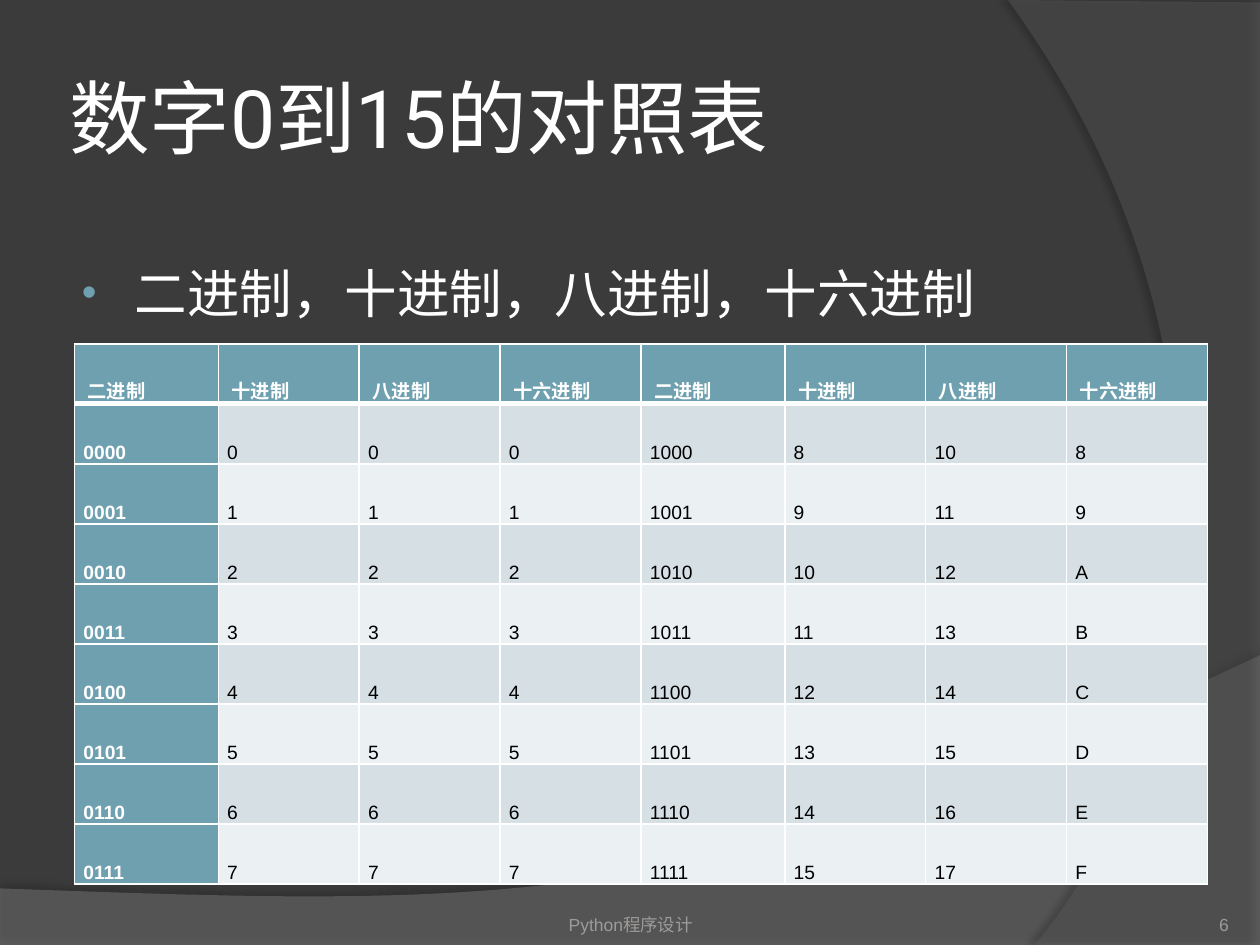
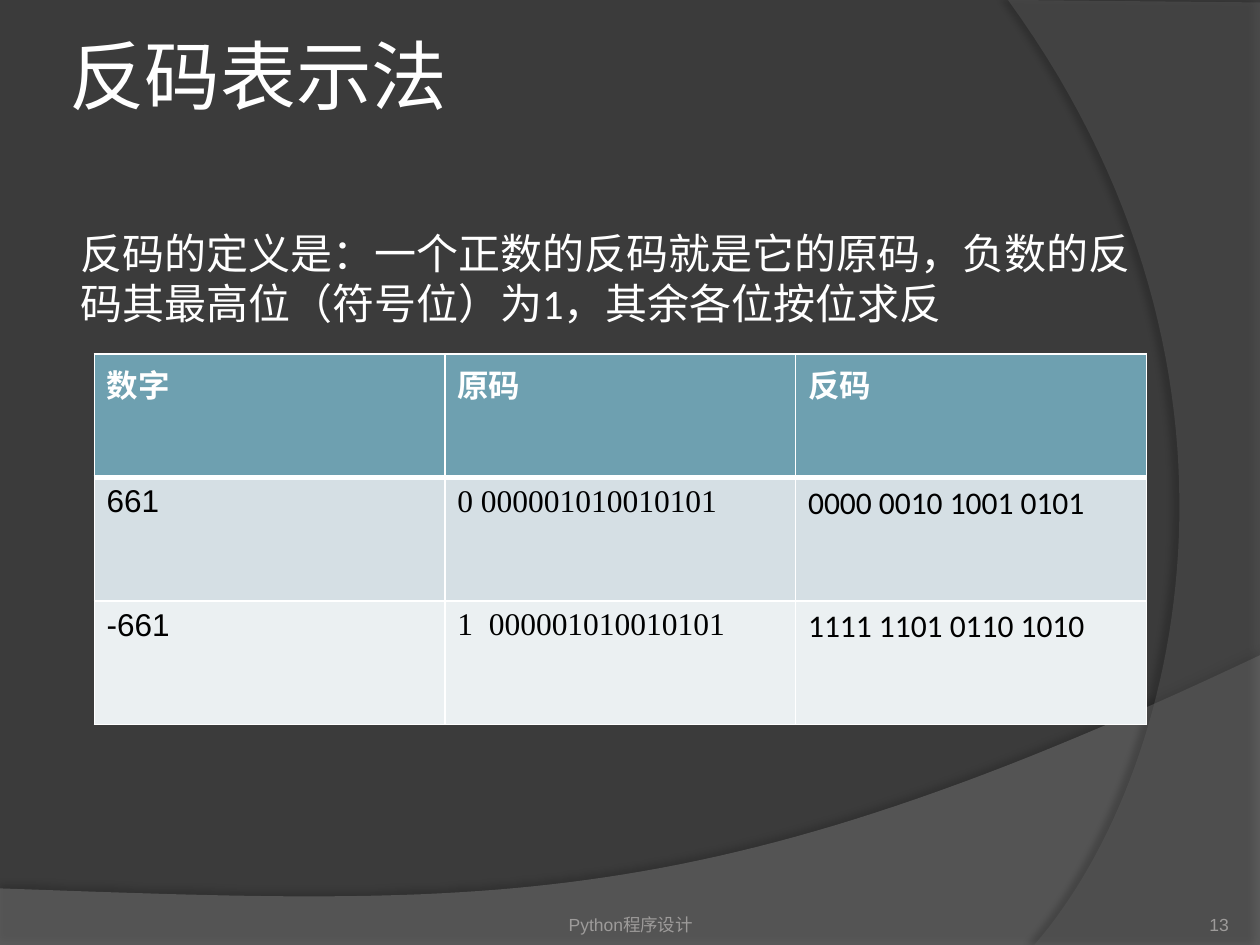
from lxml import etree
from pptx import Presentation
from pptx import util as u
from pptx.dml.color import RGBColor
from pptx.enum import text
from pptx.oxml import ns

TOP, MID, LOW = (text.MSO_ANCHOR.TOP, text.MSO_ANCHOR.MIDDLE,
                 text.MSO_ANCHOR.BOTTOM)
LEFT, CENTER, RIGHT = (text.PP_ALIGN.LEFT, text.PP_ALIGN.CENTER,
                       text.PP_ALIGN.RIGHT)
WHITE, BLACK, TEAL = "FFFFFF", "000000", "6EA0B0"
DARK, GREY = "3B3B3B", "9D9B9A"
STRIPES = ("D5DFE4", "EBF0F2")
ASIAN = "Noto Sans CJK SC"


def paint(code):
    """Turn a hex string into a colour."""
    return RGBColor.from_string(code)


def node(parent, tag, **attrs):
    """Add a drawing element to a parent."""
    return etree.SubElement(parent, ns.qn("a:" + tag),
                            {key: str(val) for key, val in attrs.items()})


def curve(start, one, two, end, steps=60):
    """List the points of a cubic curve."""
    def blend(t, axis):
        s = 1 - t
        return (s ** 3 * start[axis] + 3 * s * s * t * one[axis]
                + 3 * s * t * t * two[axis] + t ** 3 * end[axis])
    return [(blend(i / steps, 0), blend(i / steps, 1))
            for i in range(steps + 1)]


def write(frame, words, size=18, font="Arial", color=WHITE, bold=False,
          align=LEFT, left=0, hang=0, bullet=None, space=None, after=None):
    """Put formatted text into a text frame."""
    para = frame.paragraphs[0]
    run = para.add_run()
    run.text = words
    para.alignment = align
    para.line_spacing = space
    if after:
        para.space_after = u.Pt(after)
    props = para._p.get_or_add_pPr()
    if left:
        props.set("marL", str(u.Cm(left)))
        props.set("indent", str(u.Cm(hang)))
    if bullet:
        node(node(props, "buClr"), "srgbClr", val=TEAL)
        node(props, "buSzPct", val=80000)
        node(props, "buFont", typeface="Arial")
        node(props, "buChar", char=bullet)
    run.font.size = u.Pt(size)
    run.font.name = font
    run.font.bold = bold
    run.font.color.rgb = paint(color)
    node(run.font._element, "ea", typeface=ASIAN)


class Deck:
    """Hold the shared style and the current slide."""

    def __init__(self):
        """Start an empty deck."""
        self.file = Presentation()
        self.file.slide_width = u.Cm(25.4)
        self.file.slide_height = u.Cm(19.05)
        self.slide = None

    def page(self, number):
        """Open a slide with its bands and footer."""
        self.slide = self.file.slides.add_slide(self.file.slide_layouts[6])
        fill = self.slide.background.fill
        fill.solid()
        fill.fore_color.rgb = paint(DARK)
        self.band([(0, 19.05), (25.4, 19.05)]
                  + curve((25.4, 13.21), (14.2, 18.52), (9.93, 18.26),
                          (0, 17.91)), "7F7F7F", 45, 35, 3.5, 270)
        self.band([(25.4, 0.05), (25.4, 19.05)]
                  + curve((20.85, 19.05), (23.75, 15.72), (25.86, 7.62),
                          (20.32, 0)), "5E5E5E", 40, 45, 4, 180)
        foot = dict(anchor=LOW, pad=(0, 0), size=10, color=GREY)
        self.box("Python程序设计", 8.69, 17.83, 8.05, 1.02, align=CENTER, **foot)
        self.box(str(number), 22.66, 17.83, 2.11, 1.02, align=RIGHT, **foot)

    def band(self, dots, color, alpha, shade, dist, angle):
        """Draw a clear outline with a soft shadow."""
        dots = [(u.Cm(x), u.Cm(y)) for x, y in dots]
        pen = self.slide.shapes.build_freeform(*dots[0])
        pen.add_line_segments(dots[1:], close=True)
        shape = pen.convert_to_shape()
        shape.line.fill.background()
        shape.fill.solid()
        shape.fill.fore_color.rgb = paint(color)
        tint = shape.element.spPr.find(
            ns.qn("a:solidFill")).find(ns.qn("a:srgbClr"))
        node(tint, "alpha", val=alpha * 1000)
        shape.shadow.inherit = False
        glow = node(shape.element.spPr.find(ns.qn("a:effectLst")),
                    "outerShdw", blurRad=u.Pt(4), dist=u.Pt(dist),
                    dir=angle * 60000, algn="ctr", rotWithShape=0)
        node(node(glow, "srgbClr", val=BLACK), "alpha", val=shade * 1000)

    def box(self, words, x, y, wide, high, anchor=TOP, pad=(0.25, 0.13),
            **form):
        """Add a text box."""
        frame = self.slide.shapes.add_textbox(
            u.Cm(x), u.Cm(y), u.Cm(wide), u.Cm(high)).text_frame
        frame.word_wrap = True
        frame.vertical_anchor = anchor
        frame.margin_left = frame.margin_right = u.Cm(pad[0])
        frame.margin_top = frame.margin_bottom = u.Cm(pad[1])
        write(frame, words, **form)

    def title(self, words, y=0.76, high=3.18, **form):
        """Add the slide title."""
        self.box(words, 1.27, y, 20.75, high, anchor=MID, pad=(0.13, 0.13),
                 **form)

    def edge(self, cell, **sides):
        """Draw the white borders of a cell."""
        props = cell._tc.get_or_add_tcPr()
        for side in "LRTB":
            line = node(props, "ln" + side, w=u.Pt(sides.get(side, 1)))
            node(node(line, "solidFill"), "srgbClr", val=WHITE)

    def table(self, rows, x, y, widths, high, fonts, lead=False, anchor=TOP,
              pad=(0.25, 0.13), **form):
        """Add a striped table with a teal header row."""
        grid = self.slide.shapes.add_table(
            len(rows), len(widths), u.Cm(x), u.Cm(y), u.Cm(sum(widths)),
            u.Cm(high * len(rows))).table
        grid.horz_banding = False
        for col, wide in zip(grid.columns, widths):
            col.width = u.Cm(wide)
        for r, row in enumerate(rows):
            grid.rows[r].height = u.Cm(high)
            for c, words in enumerate(row):
                cell = grid.cell(r, c)
                head = r == 0 or (lead and c == 0)
                self.edge(cell, T=3 if r == 1 else 1, B=3 if r == 0 else 1)
                cell.fill.solid()
                cell.fill.fore_color.rgb = paint(
                    TEAL if head else STRIPES[(r - 1) % 2])
                cell.vertical_anchor = anchor
                cell.margin_left = cell.margin_right = u.Cm(pad[0])
                cell.margin_top = cell.margin_bottom = u.Cm(pad[1])
                write(cell.text_frame, words, bold=head,
                      color=WHITE if head else BLACK,
                      font=fonts[c] if r else "Arial", **form)


def bases(num):
    """Give a number in base 2, 10, 8 and 16."""
    return [f"{num:04b}", f"{num}", f"{num:o}", f"{num:X}"]


def main():
    """Build both slides."""
    deck = Deck()

    deck.page(6)
    deck.title("数字0到15的对照表", size=46, font="Roboto")
    deck.box("二进制，十进制，八进制，十六进制", 1.3, 5.13, 23.39, 12.88,
             size=30, left=1.17, hang=-1.07, bullet="•")
    heads = [" 二进制", " 十进制", " 八进制", " 十六进制"] * 2
    deck.table([heads] + [bases(n) + bases(n + 8) for n in range(8)],
               1.5, 6.93, [2.9, 2.84, 2.84, 2.84] * 2, 1.21, ["Arial"] * 8,
               lead=True, anchor=LOW, pad=(0.18, 0), size=11, space=1.07,
               after=8)

    deck.page(13)
    deck.title("反码表示法", y=0, high=3, size=43.2, font=ASIAN)
    deck.box("反码的定义是：一个正数的反码就是它的原码，负数的反码其最高位"
             "（符号位）为1，其余各位按位求反", 1.27, 4.45, 21.82, 12.57,
             size=24, font="Calibri", left=0.1)
    deck.table([["数字", "原码", "反码"],
                ["661", "0 000001010010101", "0000 0010 1001 0101"],
                ["-661", "1  000001010010101", "1111 1101 0110 1010"]],
               1.9, 7.14, [7.07] * 3, 2.49,
               ["Arial", "Times New Roman", "Calibri"])

    deck.file.save("out.pptx")


if __name__ == "__main__":
    main()
